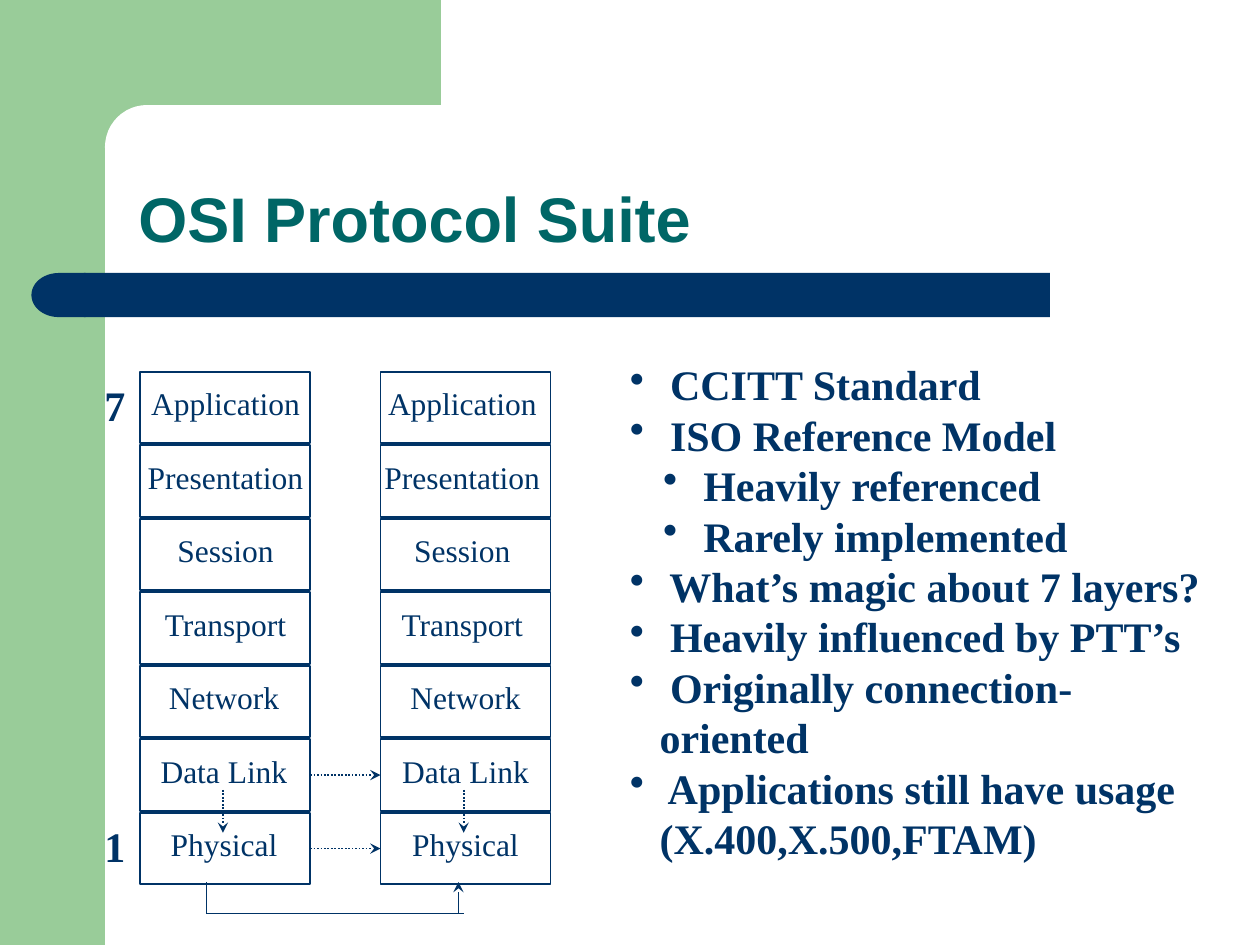
from typing import NamedTuple

from lxml import etree
from pptx import Presentation
from pptx.dml.color import RGBColor
from pptx.enum.dml import MSO_LINE
from pptx.enum.shapes import MSO_CONNECTOR, MSO_SHAPE as Geo
from pptx.enum.text import MSO_ANCHOR as Anchor, PP_ALIGN as Align
from pptx.oxml.ns import qn
from pptx.util import Pt

NAVY, GREEN, TEAL, WHITE = "003366", "99CC99", "006666", "FFFFFF"
SERIF, SANS = "Times New Roman", "Arial"
RIGHT_SIDE, LEFT_SIDE = 3, 1


class Layer(NamedTuple):
    name: str
    label_width: float
    upper: bool


class Stack(NamedTuple):
    left: float
    upper_center: float
    lower_center: float


class Point(NamedTuple):
    text: str
    level: int = 0


LAYERS = [
    Layer("Application", 99.4, True),
    Layer("Presentation", 103.7, True),
    Layer("Session", 69.8, True),
    Layer("Transport", 84.2, True),
    Layer("Network", 77.8, False),
    Layer("Data Link", 87.1, False),
    Layer("Physical", 75.6, False),
]
STACKS = [Stack(80, 128.9, 128), Stack(217.4, 264.2, 266)]
STACK_TOP, PITCH, BOX_W, BOX_H = 212.4, 42, 97.2, 41

POINTS = [
    Point(" CCITT Standard"),
    Point(" ISO Reference Model"),
    Point(" Heavily referenced", 1),
    Point(" Rarely implemented", 1),
    Point(" What’s magic about 7 layers?"),
    Point(" Heavily influenced by PTT’s"),
    Point(" Originally connection-oriented"),
    Point(" Applications still have usage\v(X.400,X.500,FTAM)"),
]
HANG, LEVEL_MARGINS = 17, (17, 36)

prs = Presentation()
prs.slide_width, prs.slide_height = Pt(720), Pt(540)
slide = prs.slides.add_slide(prs.slide_layouts[6])


def rgb(color: str) -> RGBColor:
    return RGBColor.from_string(color)


def add_box(left: float, top: float, width: float, height: float, geo=Geo.RECTANGLE,
            fill: str | None = None, line: str | None = None, corner: float | None = None):
    box = slide.shapes.add_shape(geo, Pt(left), Pt(top), Pt(width), Pt(height))
    box.shadow.inherit = False
    if corner is not None:
        box.adjustments[0] = corner
    if fill:
        box.fill.solid()
        box.fill.fore_color.rgb = rgb(fill)
    else:
        box.fill.background()
    if line:
        box.line.color.rgb = rgb(line)
        box.line.width = Pt(1)
    else:
        box.line.fill.background()
    return box


def format_text(paragraph, text: str, *, size: float, font: str = SERIF, color: str = NAVY,
                bold: bool = False, align=Align.LEFT, spacing=None) -> None:
    paragraph.text = text
    paragraph.alignment = align
    if spacing is not None:
        paragraph.line_spacing = spacing
    paragraph.font.size = Pt(size)
    paragraph.font.name = font
    paragraph.font.bold = bold
    paragraph.font.color.rgb = rgb(color)
    for run in paragraph.runs:
        run.font.size, run.font.name, run.font.bold = Pt(size), font, bold
        run.font.color.rgb = rgb(color)


def add_frame(left: float, top: float, width: float, height: float,
              wrap: bool = False, anchor=Anchor.TOP):
    frame = slide.shapes.add_textbox(Pt(left), Pt(top), Pt(width), Pt(height)).text_frame
    frame.word_wrap = wrap
    frame.vertical_anchor = anchor
    return frame


def add_bullet(paragraph, level: int) -> None:
    paragraph.level = level
    props = paragraph._p.get_or_add_pPr()
    props.set("marL", str(Pt(LEVEL_MARGINS[level])))
    props.set("indent", str(-Pt(HANG)))
    bullet_color = etree.SubElement(props, qn("a:buClr"))
    etree.SubElement(bullet_color, qn("a:srgbClr"), val=NAVY)
    etree.SubElement(props, qn("a:buChar"), char="•")


def add_line(x1: float, y1: float, x2: float, y2: float,
             dotted: bool = False, arrow: bool = False):
    link = slide.shapes.add_connector(MSO_CONNECTOR.STRAIGHT, Pt(x1), Pt(y1), Pt(x2), Pt(y2))
    link.line.color.rgb = rgb(NAVY)
    link.line.width = Pt(1)
    if dotted:
        link.line.dash_style = MSO_LINE.ROUND_DOT
    if arrow:
        etree.SubElement(link.line._get_or_add_ln(), qn("a:tailEnd"), type="stealth")
    etree.SubElement(link._element.spPr, qn("a:effectLst"))
    return link


def add_stack(stack: Stack) -> dict:
    """Draw one column of layers and return its boxes by layer name."""
    boxes = {}
    for row, layer in enumerate(LAYERS):
        top = STACK_TOP + row * PITCH
        boxes[layer.name] = add_box(stack.left, top, BOX_W, BOX_H, line=NAVY)
        center = stack.upper_center if layer.upper else stack.lower_center
        label = add_frame(center - layer.label_width / 2, top + 3.6, layer.label_width, 28.8)
        format_text(label.paragraphs[0], layer.name, size=18, align=Align.CENTER)
    return boxes


# Green corner and navy title bar
add_box(0, 0, 60, 540, fill=GREEN)
add_box(54, 0, 198, 84, fill=GREEN)
add_box(60, 60, 402, 48, Geo.ROUNDED_RECTANGLE, fill=WHITE, corner=0.5)
add_box(48, 156, 552, 25.2, Geo.ROUNDED_RECTANGLE, fill=NAVY, corner=0)
bar_end = add_box(18, 156, 31, 25.2, Geo.FLOWCHART_DELAY, fill=NAVY)
bar_end._element.spPr.xfrm.set("flipH", "1")

# Title
title = add_frame(72, 60, 630, 90, wrap=True, anchor=Anchor.BOTTOM)
format_text(title.paragraphs[0], "OSI Protocol Suite", size=36, font=SANS, color=TEAL,
            bold=True, spacing=0.9)

# Two layer stacks, numbered 7 down to 1
sender, receiver = [add_stack(stack) for stack in STACKS]
for number, top in (("7", 213.1), ("1", 465.1)):
    format_text(add_frame(52.6, top, 25.9, 36).paragraphs[0], number, size=24, bold=True,
                align=Align.CENTER)

# Peer links between the stacks
for name in ("Data Link", "Physical"):
    peer = add_line(177, 440, 217, 440, dotted=True, arrow=True)
    peer.begin_connect(sender[name], RIGHT_SIDE)
    peer.end_connect(receiver[name], LEFT_SIDE)

# Data link down to physical
for x in (127.4, 265):
    add_line(x, 451.4, x, 475.9, dotted=True, arrow=True)

# Physical medium under the stacks
add_line(118, 504, 118, 522)
add_line(118, 522, 265, 522)
add_line(262, 522, 262, 504, arrow=True)

# Remarks
remarks = add_frame(352.8, 201.6, 344.2, 266.4, wrap=True)
for index, point in enumerate(POINTS):
    remark = remarks.add_paragraph() if index else remarks.paragraphs[0]
    add_bullet(remark, point.level)
    format_text(remark, point.text, size=24, bold=True, spacing=Pt(28.8))

prs.save("out.pptx")
